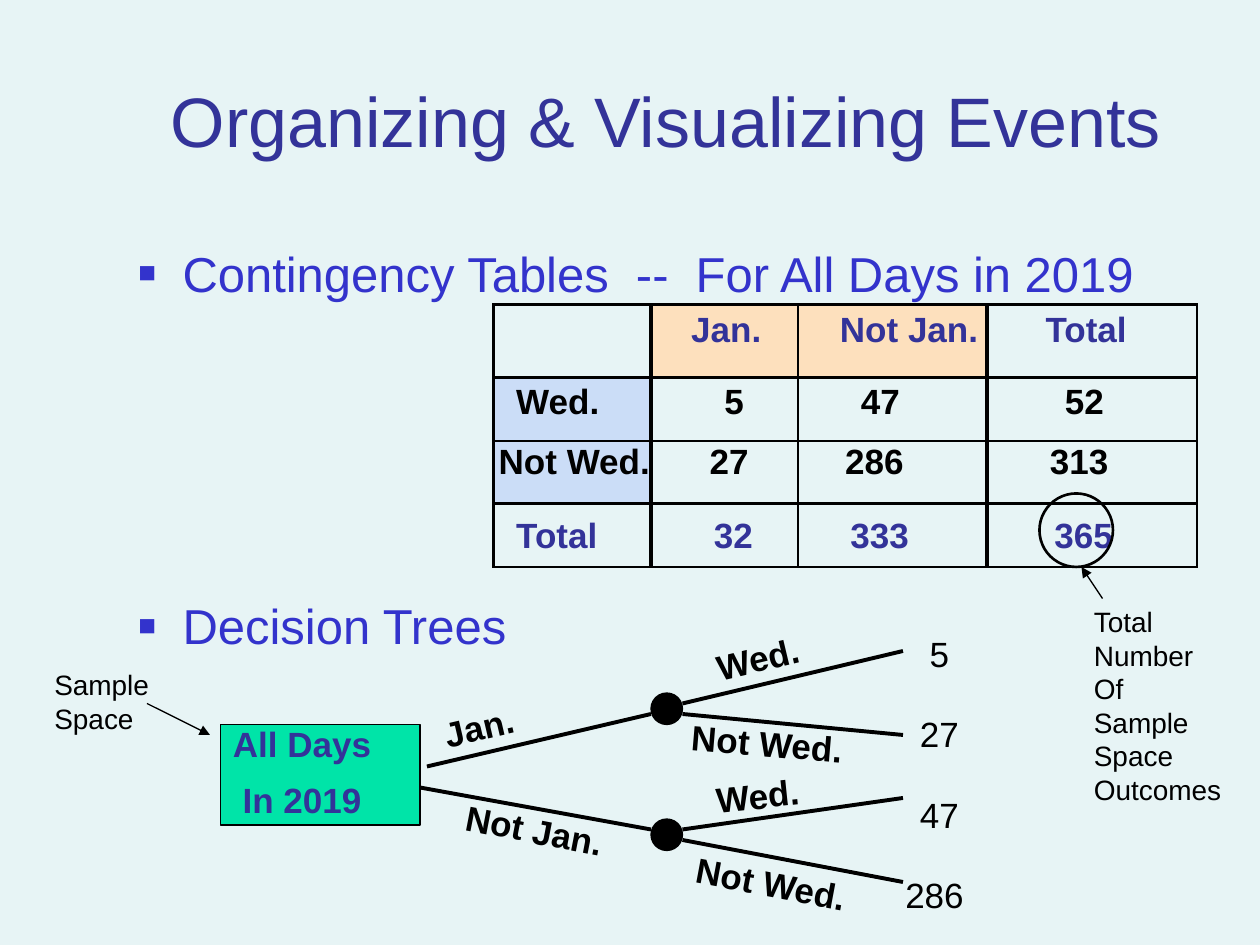
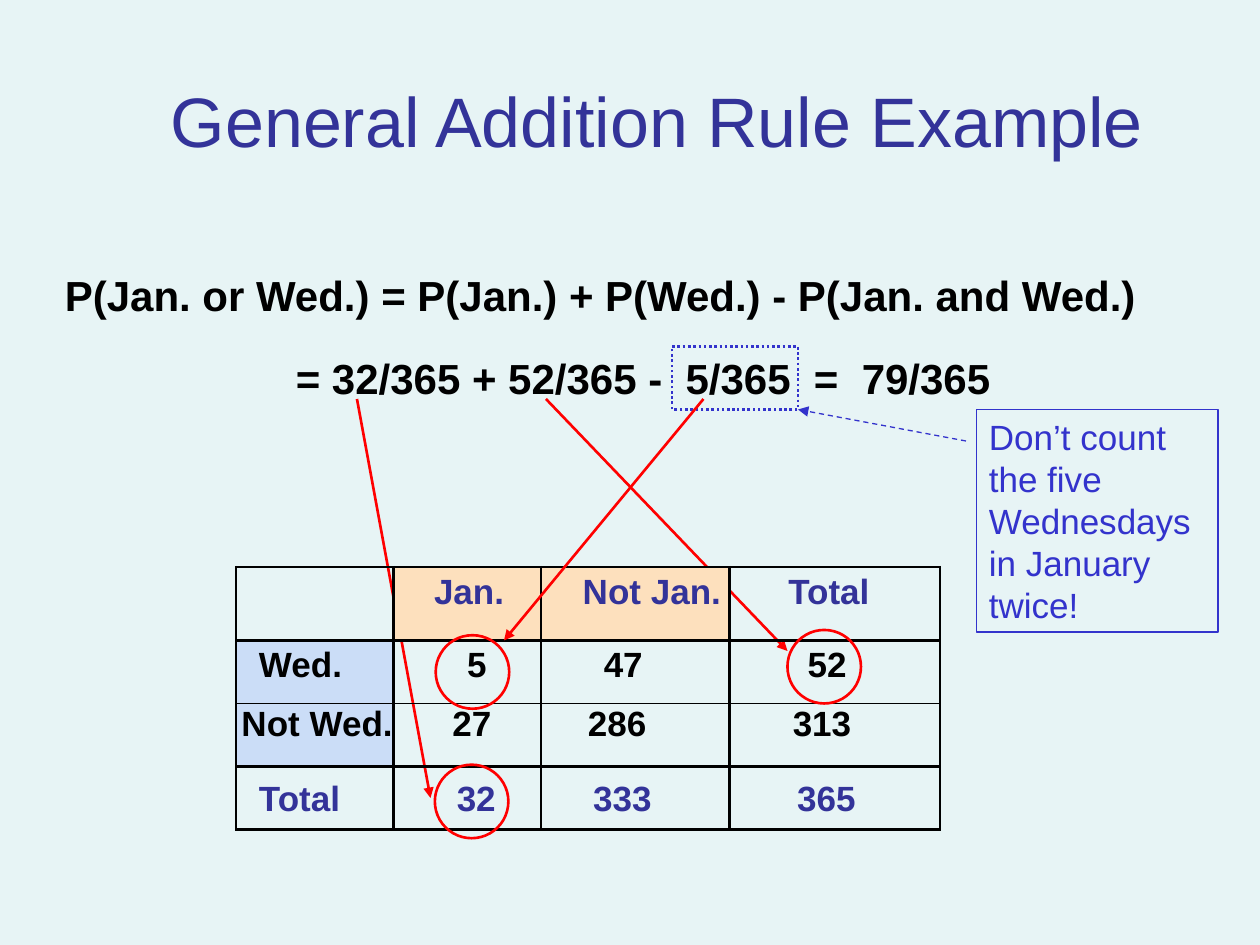
from lxml import etree
from pptx import Presentation
from pptx import util as u
from pptx.dml.color import RGBColor
from pptx.enum import dml, shapes, text
from pptx.oxml import ns

Pt = u.Pt
COLORS = {
    "back": "E7F4F5",
    "title": "333399",
    "accent": "3333CC",
    "ink": "000000",
    "root": "00E4A8",
    "column": "FDE0BD",
    "row": "CBDDF7",
    "mark": "FF0000",
}
FONT = "Arial"
COLUMNS = [90, 84, 108, 120]
ROWS = [42, 36, 36, 36]
VERTICALS = [1.5, 2.24, 1.5, 2.24, 1.5]
HORIZONTALS = [1.5, 2, 0.74, 2, 1.5]
COUNTS = [
    ["", "Jan.", "Not Jan.", "Total"],
    ["Wed.", "5", "47", "52"],
    ["Not Wed.", "27", "286", "313"],
    ["Total", "32", "333", "365"],
]
INSETS = [
    [0, 23, 24, 33.5],
    [13, 42, 36, 44.5],
    [3, 33.5, 27, 36],
    [13, 36, 30, 38.5],
]
TOPS = [3.6, 3, 1, 7.5]


def rgb(name):
    return RGBColor.from_string(COLORS[name])


def add(parent, tag, **attrs):
    return etree.SubElement(parent, ns.qn(tag), {k: str(v) for k, v in attrs.items()})


def write(tf, content, size=20, color="ink", bold=False, align="LEFT",
          spacing=1.0, before=0, bullet=None):
    for i, line in enumerate(content.split("\n")):
        p = tf.paragraphs[0] if i == 0 else tf.add_paragraph()
        p.alignment = getattr(text.PP_ALIGN, align)
        p.line_spacing = spacing
        p.space_before = Pt(before if i else 0)
        r = p.add_run()
        r.text = line
        r.font.name = FONT
        r.font.size = Pt(size)
        r.font.bold = bold
        r.font.color.rgb = rgb(color)
        if bullet:
            pr = p._p.get_or_add_pPr()
            pr.set("marL", str(Pt(25.2)))
            pr.set("indent", str(-Pt(25.2)))
            add(add(pr, "a:buClr"), "a:srgbClr", val=COLORS[color])
            add(pr, "a:buSzPct", val=60000)
            add(pr, "a:buFont", typeface=FONT)
            add(pr, "a:buChar", char=bullet)


class Deck:
    def __init__(self):
        self.prs = Presentation()
        self.prs.slide_width, self.prs.slide_height = Pt(720), Pt(540)
        self.slide = None

    def new_slide(self, title, top, width):
        self.slide = self.prs.slides.add_slide(self.prs.slide_layouts[6])
        fill = self.slide.background.fill
        fill.solid()
        fill.fore_color.rgb = rgb("back")
        self.label(title, 90.5, top, width, 96 - top, size=40, color="title", anchor="BOTTOM")

    def label(self, content, x, y, w, h, rotation=0, anchor="TOP", **fmt):
        sp = self.slide.shapes.add_textbox(Pt(x), Pt(y), Pt(w), Pt(h))
        sp.rotation = rotation
        tf = sp.text_frame
        tf.word_wrap = True
        tf.vertical_anchor = getattr(text.MSO_ANCHOR, anchor)
        write(tf, content, **fmt)

    def shape(self, kind, x, y, w, h, fill=None, line="ink", width=1.5,
              dash=None, content=None, **fmt):
        sp = self.slide.shapes.add_shape(
            getattr(shapes.MSO_SHAPE, kind), Pt(x), Pt(y), Pt(w), Pt(h))
        sp.shadow.inherit = False
        if fill:
            sp.fill.solid()
            sp.fill.fore_color.rgb = rgb(fill)
        else:
            sp.fill.background()
        self.stroke(sp.line, line, width, dash)
        if content:
            tf = sp.text_frame
            tf.word_wrap = True
            tf.vertical_anchor = text.MSO_ANCHOR.TOP
            write(tf, content, **fmt)

    def stroke(self, line, color, width, dash):
        line.color.rgb = rgb(color)
        line.width = Pt(width)
        if dash:
            line.dash_style = getattr(dml.MSO_LINE, dash)

    def circle(self, x, y, color="mark"):
        self.shape("OVAL", x, y, 42, 42, line=color)

    def line(self, x1, y1, x2, y2, color="ink", width=2.24, dash=None, arrow=False):
        sp = self.slide.shapes.add_connector(
            shapes.MSO_CONNECTOR.STRAIGHT, Pt(x1), Pt(y1), Pt(x2), Pt(y2))
        self.stroke(sp.line, color, width, dash)
        if arrow:
            add(sp.line._get_or_add_ln(), "a:tailEnd", type="triangle")
        add(sp._element.spPr, "a:effectLst")

    def contingency_table(self, x, y):
        table = self.slide.shapes.add_table(
            len(ROWS), len(COLUMNS), Pt(x), Pt(y), Pt(sum(COLUMNS)), Pt(sum(ROWS))).table
        table.first_row = table.horz_banding = False
        for column, width in zip(table.columns, COLUMNS):
            column.width = Pt(width)
        for row, height in zip(table.rows, ROWS):
            row.height = Pt(height)
        for i, values in enumerate(COUNTS):
            for j, value in enumerate(values):
                self.cell(table.cell(i, j), i, j, value)

    def cell(self, cell, i, j, value):
        cell.margin_left, cell.margin_top = Pt(INSETS[i][j]), Pt(TOPS[i])
        cell.margin_right = cell.margin_bottom = 0
        cell.vertical_anchor = text.MSO_ANCHOR.TOP
        write(cell.text_frame, value, bold=True,
              color="title" if i in (0, 3) else "ink")
        fill = "column" if i == 0 and j in (1, 2) else "row" if j == 0 and i in (1, 2) else None
        if fill:
            cell.fill.solid()
            cell.fill.fore_color.rgb = rgb(fill)
        else:
            cell.fill.background()
        pr = cell._tc.get_or_add_tcPr()
        edges = {"L": VERTICALS[j], "R": VERTICALS[j + 1],
                 "T": HORIZONTALS[i], "B": HORIZONTALS[i + 1]}
        for k, (side, width) in enumerate(edges.items()):
            ln = add(pr, "a:ln" + side, w=Pt(width))
            add(add(ln, "a:solidFill"), "a:srgbClr", val=COLORS["ink"])
            pr.insert(k, ln)


def events_slide(deck):
    deck.new_slide("Organizing & Visualizing Events", 18, 581)
    deck.label("Contingency Tables  --  For All Days in 2019\nDecision Trees",
               72, 132, 636, 357, size=28, color="accent", spacing=1.1,
               before=164.5, bullet="\u25a0")
    deck.shape("RECTANGLE", 126, 414, 114, 57.6, fill="root", width=1,
               content="All Days\n In 2019", color="title", bold=True,
               spacing=0.8, before=12.5)
    for branch in [
        (244, 438, 372, 408), (240, 450, 372, 474),
        (390, 402, 516, 372), (390, 408, 516, 420),
        (390, 474, 516, 456), (390, 480, 516, 504),
    ]:
        deck.line(*branch)
    for name, x, y, w, h, rotation, spacing in [
        ("Jan.", 246, 396, 126, 26, -13.1, 0.8),
        ("Not Jan.", 258, 467, 114, 24, 11.1, 0.7),
        ("Wed.", 402, 360, 66, 31, -13.5, 1),
        ("Not Wed.", 388, 409, 102, 31, 4.8, 1),
        ("Wed.", 402, 438, 78, 31, -5.9, 1),
        ("Not Wed.", 390, 492, 132, 31, 10.6, 1),
    ]:
        deck.label(name, x, y, w, h, rotation, bold=True, spacing=spacing)
    for y in (396, 468):
        deck.shape("OVAL", 372, y, 18, 18, fill="ink", width=0.74)
    deck.label("Sample Space", 24, 378, 72, 45, size=16)
    deck.line(84, 402, 120, 420, width=0.74, arrow=True)
    deck.label("Total\nNumber\nOf\nSample\nSpace\nOutcomes", 618, 342, 90, 122, size=16)
    deck.line(630, 342, 618, 324, width=0.74, arrow=True)
    deck.contingency_table(282, 174)
    deck.circle(594, 282, "ink")
    deck.label(" 5\n 27\n 47\n286", 510, 348, 48, 178.5, align="CENTER",
               spacing=1.4, before=12.5)


def addition_slide(deck):
    deck.new_slide("General Addition Rule Example", 36, 613)
    deck.line(204, 228, 246, 456, "mark", 1.5, arrow=True)
    deck.line(312, 228, 450, 372, "mark", 1.5, arrow=True)
    deck.label("P(Jan. or Wed.) = P(Jan.) + P(Wed.) - P(Jan. and Wed.)",
               30, 150.5, 648, 36, size=24, bold=True)
    deck.label("= 32/365 + 52/365 -  5/365  =  79/365",
               162, 198, 426, 36, size=24, bold=True)
    deck.shape("RECTANGLE", 558, 234, 138, 127, line="accent", width=1,
               content="Don\u2019t count the five Wednesdays in January twice!",
               color="accent")
    deck.shape("RECTANGLE", 384, 198, 72, 36, line="accent", dash="ROUND_DOT")
    deck.line(552, 252, 456, 234, "accent", 0.74, dash="DASH", arrow=True)
    deck.contingency_table(135, 324)
    for x, y in [(249, 363), (248.5, 437), (450, 360)]:
        deck.circle(x, y)
    deck.line(402, 228, 288, 366, "mark", 1.5, arrow=True)


deck = Deck()
events_slide(deck)
addition_slide(deck)
deck.prs.save("out.pptx")
